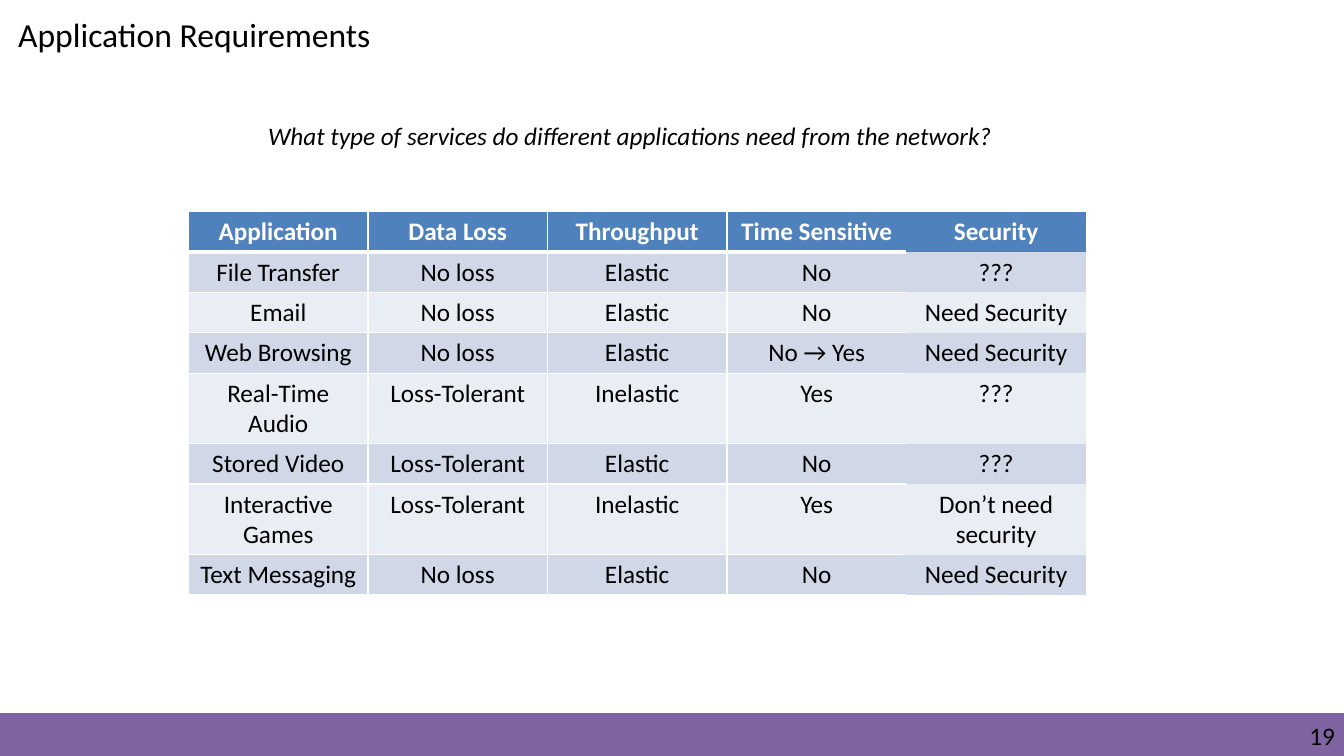
"""Build the slide on what applications require from the network."""
from dataclasses import dataclass
from lxml.etree import SubElement
from pptx import Presentation
from pptx.dml.color import RGBColor
from pptx.enum.shapes import MSO_SHAPE
from pptx.enum.text import MSO_ANCHOR, PP_ALIGN
from pptx.oxml.ns import qn
from pptx.util import Inches, Pt

TITLE = "Application Requirements"
QUERY = "What type of services do different applications need from the network?"
PAGE = "19"
ROWS = [
    ("Application", "Data Loss", "Throughput", "Time Sensitive", "Security"),
    ("File Transfer", "No loss", "Elastic", "No", "???"),
    ("Email", "No loss", "Elastic", "No", "Need Security"),
    ("Web Browsing", "No loss", "Elastic", "No → Yes", "Need Security"),
    ("Real-Time Audio", "Loss-Tolerant", "Inelastic", "Yes", "???"),
    ("Stored Video", "Loss-Tolerant", "Elastic", "No", "???"),
    ("Interactive Games", "Loss-Tolerant", "Inelastic", "Yes", "Don’t need security"),
    ("Text Messaging", "No loss", "Elastic", "No", "Need Security"),
]


@dataclass(frozen=True)
class Theme:
    """Colours, font and type sizes."""
    font: str = "Calibri"
    head: int = 24
    body: int = 18
    ink: str = "000000"
    white: str = "FFFFFF"
    bar: str = "8064A2"
    top: str = "4F81BD"
    bands: tuple = ("E9EDF4", "D0D8E8")


THEME = Theme()
WIDE, HIGH = 13.33, 7.5
BAR = 0.42
LEFT, TOP = 1.87, 2.1
COL, ROW = 1.79 - 0.01, 0.4


def paint(fill, hue):
    """Fill with one solid colour."""
    fill.solid()
    fill.fore_color.rgb = RGBColor.from_string(hue)


def write(frame, text, size=THEME.body, hue=THEME.ink, align=PP_ALIGN.LEFT,
          bold=False, slant=False):
    """Put one styled line in a text frame."""
    frame.text = text
    frame.word_wrap = True
    line = frame.paragraphs[0]
    line.alignment = align
    for run in line.runs:
        font = run.font
        font.name, font.size = THEME.font, Pt(size)
        font.bold, font.italic = bold, slant
        font.color.rgb = RGBColor.from_string(hue)


def label(slide, box, text, **style):
    """Add a text box and return its frame."""
    frame = slide.shapes.add_textbox(*map(Inches, box)).text_frame
    write(frame, text, **style)
    return frame


def edge(cell, side, width):
    """Draw one white cell border, or none at zero width."""
    line = SubElement(cell._tc.get_or_add_tcPr(), qn("a:ln" + side), w=str(Pt(width)))
    if width:
        fill = SubElement(line, qn("a:solidFill"))
        SubElement(fill, qn("a:srgbClr"), val=THEME.white)
    else:
        SubElement(line, qn("a:noFill"))


def add_grid(slide):
    """Add the table of needs, its last column without rules."""
    cols = len(ROWS[0])
    size = (LEFT, TOP, COL * cols, ROW * len(ROWS))
    grid = slide.shapes.add_table(len(ROWS), cols, *map(Inches, size)).table
    grid.horz_banding = False
    for col in grid.columns:
        col.width = Inches(COL)
    for r, row in enumerate(ROWS):
        grid.rows[r].height = Inches(ROW)
        for c, text in enumerate(row):
            cell = grid.cell(r, c)
            last = c == cols - 1
            rules = {"L": 1, "R": int(c < cols - 2),
                     "T": 3 if r == 1 else 1, "B": 3 if r == 0 else 1}
            for side, width in rules.items():
                edge(cell, side, 0 if last else width)
            paint(cell.fill, THEME.bands[r % 2] if r else THEME.top)
            write(cell.text_frame, text, hue=THEME.ink if r else THEME.white,
                  align=PP_ALIGN.CENTER, bold=r == 0)


def main():
    """Build and save the slide."""
    deck = Presentation()
    deck.slide_width, deck.slide_height = Inches(WIDE), Inches(HIGH)
    slide = deck.slides.add_slide(deck.slide_layouts[5])

    box = (0, HIGH - BAR, WIDE, BAR)
    bar = slide.shapes.add_shape(MSO_SHAPE.RECTANGLE, *map(Inches, box))
    bar.shadow.inherit = False
    paint(bar.fill, THEME.bar)
    paint(bar.line.fill, THEME.bar)
    bar.line.width = Pt(1)

    page = label(slide, (10.17, 7.15, 3.07, 0.3), PAGE, align=PP_ALIGN.RIGHT)
    page.margin_left = page.margin_right = page.margin_top = page.margin_bottom = 0

    title = slide.shapes.title
    title.left, title.top, title.width, title.height = map(Inches, (0.08, 0.09, 5.67, 0.5))
    write(title.text_frame, TITLE, size=THEME.head)
    title.text_frame.vertical_anchor = MSO_ANCHOR.TOP

    add_grid(slide)
    label(slide, (2.56, 1.14, 8.22, 0.4), QUERY, slant=True)
    deck.save("out.pptx")


if __name__ == "__main__":
    main()
